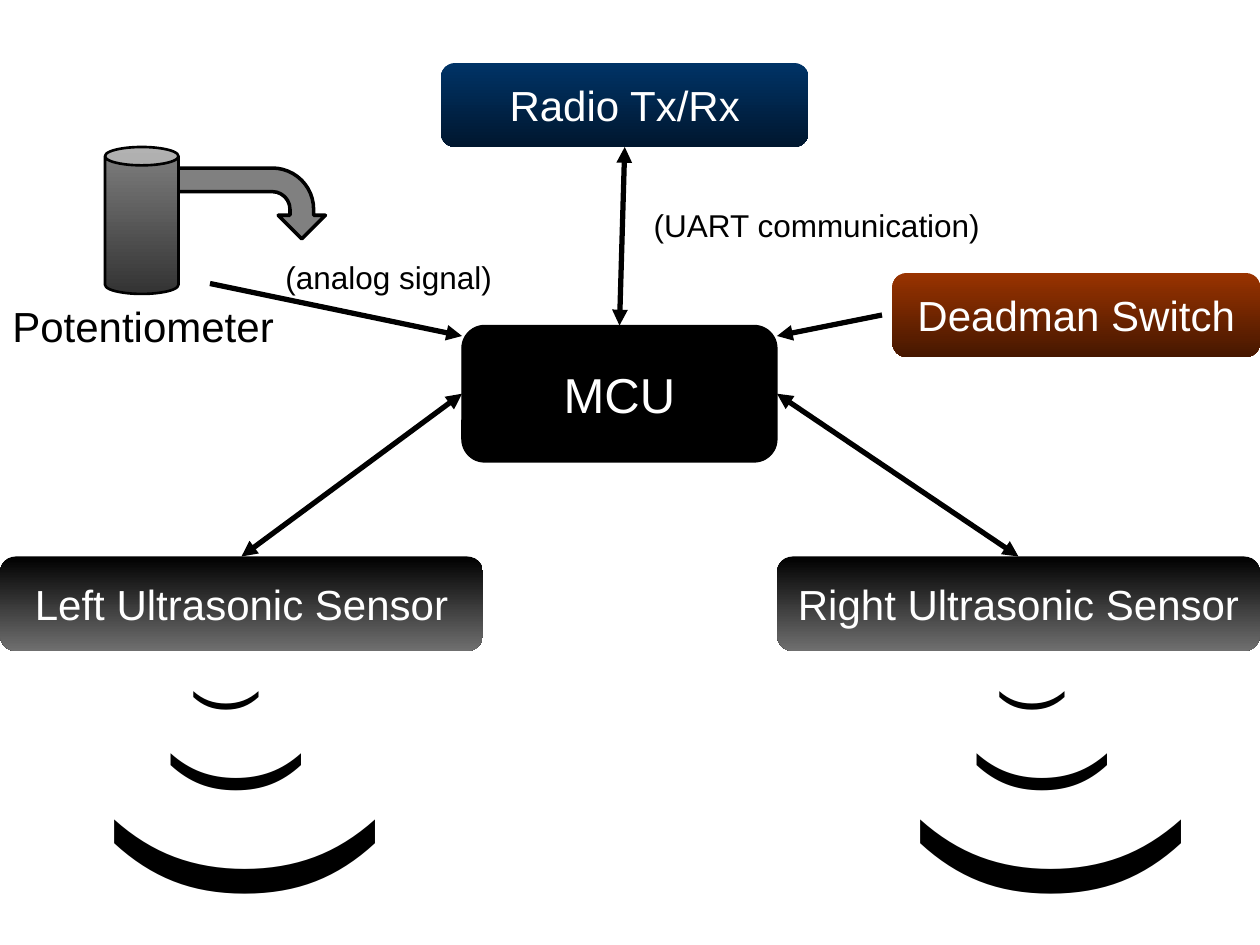
from lxml.etree import SubElement
from pptx import Presentation
from pptx.dml.color import RGBColor
from pptx.enum.shapes import MSO_CONNECTOR, MSO_SHAPE
from pptx.enum.text import MSO_ANCHOR, MSO_AUTO_SIZE, PP_ALIGN
from pptx.oxml.ns import qn
from pptx.util import Pt

COLORS = {
    "black": "000000", "white": "FFFFFF", "gray": "808080",
    "dark_gray": "333333", "mid_gray": "6F6F6F",
    "rust": "993300", "dark_rust": "461700",
    "navy": "003366", "dark_navy": "00172F",
}
TOP, LEFT, BOTTOM, RIGHT = range(4)
WAVES = [(80, 0, 396, 103.7), (160, -6.3, 412.5, 199.4), (40, 0, 372, 55.4)]


def color(name):
    return RGBColor.from_string(COLORS[name])


def apply(obj, formats):
    for name, value in formats.items():
        setattr(obj, name, value)


def write(sp, text, size, ink, wrap=False, **formats):
    tf = sp.text_frame
    apply(tf, {"word_wrap": wrap, **formats})
    p = tf.paragraphs[0]
    r = p.add_run()
    r.text = text
    apply(r.font, {"name": "Arial", "size": Pt(size)})
    r.font.color.rgb = color(ink)
    return p


def add_shape(s, kind, box, fills, line_width=0):
    sp = s.shapes.add_shape(kind, *map(Pt, box))
    sp.shadow.inherit = False
    if len(fills) == 1:
        sp.fill.solid()
        sp.fill.fore_color.rgb = color(fills[0])
    else:
        sp.fill.gradient()
        sp.fill.gradient_angle = 270
        for stop, name in zip(sp.fill.gradient_stops, fills):
            stop.color.rgb = color(name)
    if line_width:
        sp.line.color.rgb = color("black")
        sp.line.width = Pt(line_width)
    else:
        sp.line.fill.background()
    return sp


def add_block(s, text, box, fills, size=24, line_width=0):
    sp = add_shape(s, MSO_SHAPE.ROUNDED_RECTANGLE, box, fills, line_width)
    p = write(sp, text, size, "white", vertical_anchor=MSO_ANCHOR.MIDDLE)
    p.alignment = PP_ALIGN.CENTER
    return sp


def add_label(s, text, box, size, wrap=False, rotation=0):
    sp = s.shapes.add_textbox(*map(Pt, box))
    sp.rotation = rotation
    write(sp, text, size, "black", wrap, auto_size=MSO_AUTO_SIZE.SHAPE_TO_FIT_TEXT)


def add_sensor(s, text, x, wave_x):
    sp = add_block(s, text, (x, 318, 276, 54), ("black", "mid_gray"))
    for size, shift, y, height in WAVES:
        add_label(s, "(", (wave_x + shift, y, 31.7, height), size, True, 270)
    return sp


def add_arrow(s, start=(0, 0), end=(0, 0), begin_at=None, end_at=None):
    cx = s.shapes.add_connector(MSO_CONNECTOR.STRAIGHT, *map(Pt, start + end))
    if begin_at:
        cx.begin_connect(*begin_at)
    if end_at:
        cx.end_connect(*end_at)
    cx.line.color.rgb = color("black")
    cx.line.width = Pt(3)
    ln = cx.line._get_or_add_ln()
    if begin_at:
        SubElement(ln, qn("a:headEnd"), type="triangle")
    SubElement(ln, qn("a:tailEnd"), type="triangle")
    SubElement(cx._element.spPr, qn("a:effectLst"))


def add_potentiometer(s):
    add_shape(s, MSO_SHAPE.U_TURN_ARROW, (66, 96, 120, 54), ("gray",), 2)
    can = add_shape(s, MSO_SHAPE.CAN, (60, 84, 42, 84), ("gray", "dark_gray"), 1.5)
    can.adjustments[0] = 0.25
    add_label(s, "Potentiometer", (0, 168, 170, 36), 24, True)


def main():
    prs = Presentation()
    apply(prs, {"slide_width": Pt(720), "slide_height": Pt(540)})
    s = prs.slides.add_slide(prs.slide_layouts[6])

    add_potentiometer(s)
    right = add_sensor(s, "Right Ultrasonic Sensor", 444, 568.7)
    left = add_sensor(s, "Left Ultrasonic Sensor", 0, 108)
    mcu = add_block(s, "MCU", (264, 186, 180, 78), ("black",), 28, 0.75)
    add_block(s, "Deadman Switch", (510, 156, 210, 48), ("rust", "dark_rust"))
    radio = add_block(s, "Radio Tx/Rx", (252, 36, 210, 48), ("navy", "dark_navy"))

    add_arrow(s, begin_at=(right, TOP), end_at=(mcu, RIGHT))
    add_arrow(s, begin_at=(left, TOP), end_at=(mcu, LEFT))
    add_arrow(s, begin_at=(mcu, TOP), end_at=(radio, BOTTOM))
    add_arrow(s, (120, 162), (264, 192))
    add_arrow(s, (504, 180), (444, 192))

    add_label(s, "(UART communication)", (366.5, 114, 201.6, 28.8), 18)
    add_label(s, "(analog signal)", (156, 144, 132.5, 28.8), 18)
    prs.save("out.pptx")


if __name__ == "__main__":
    main()
